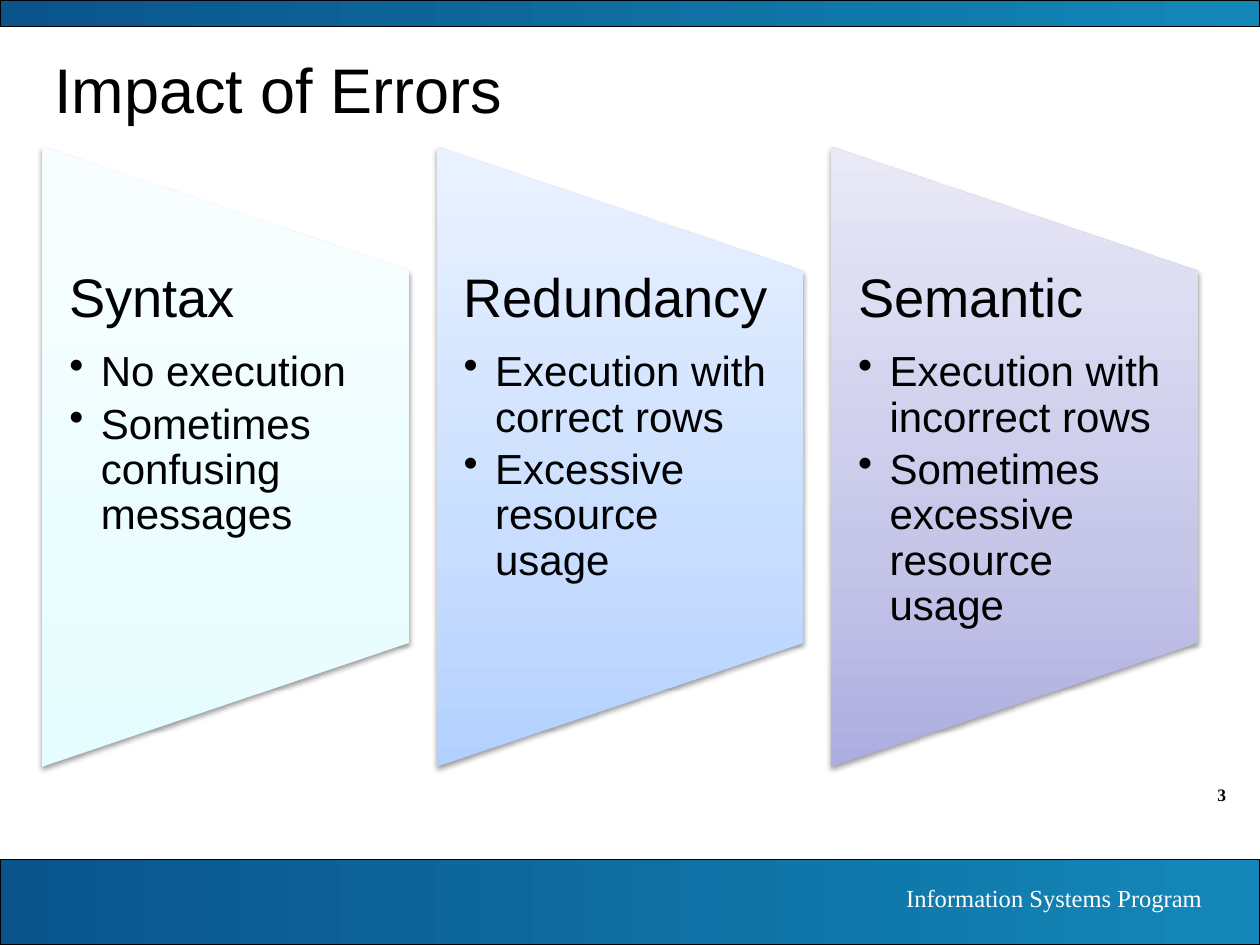
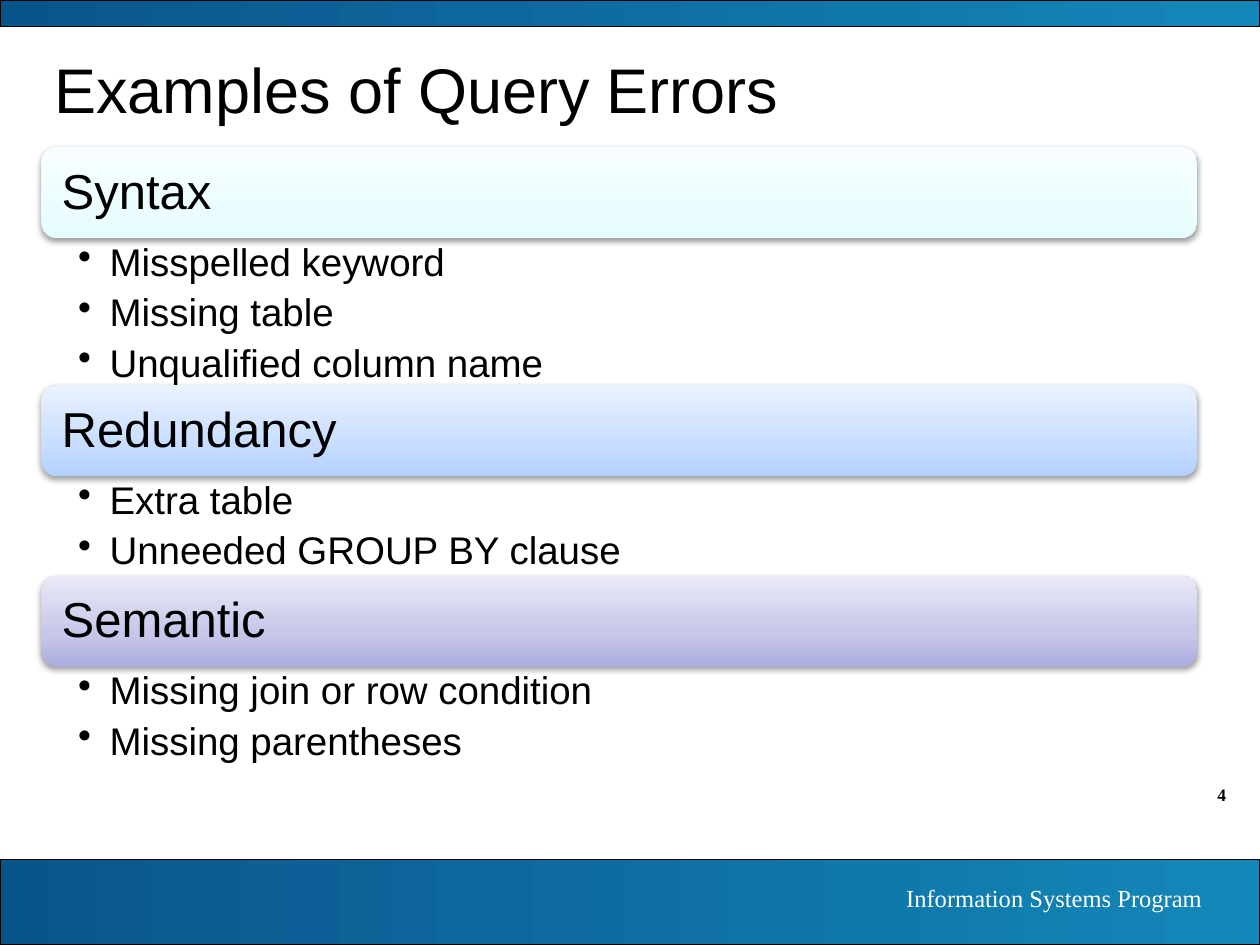
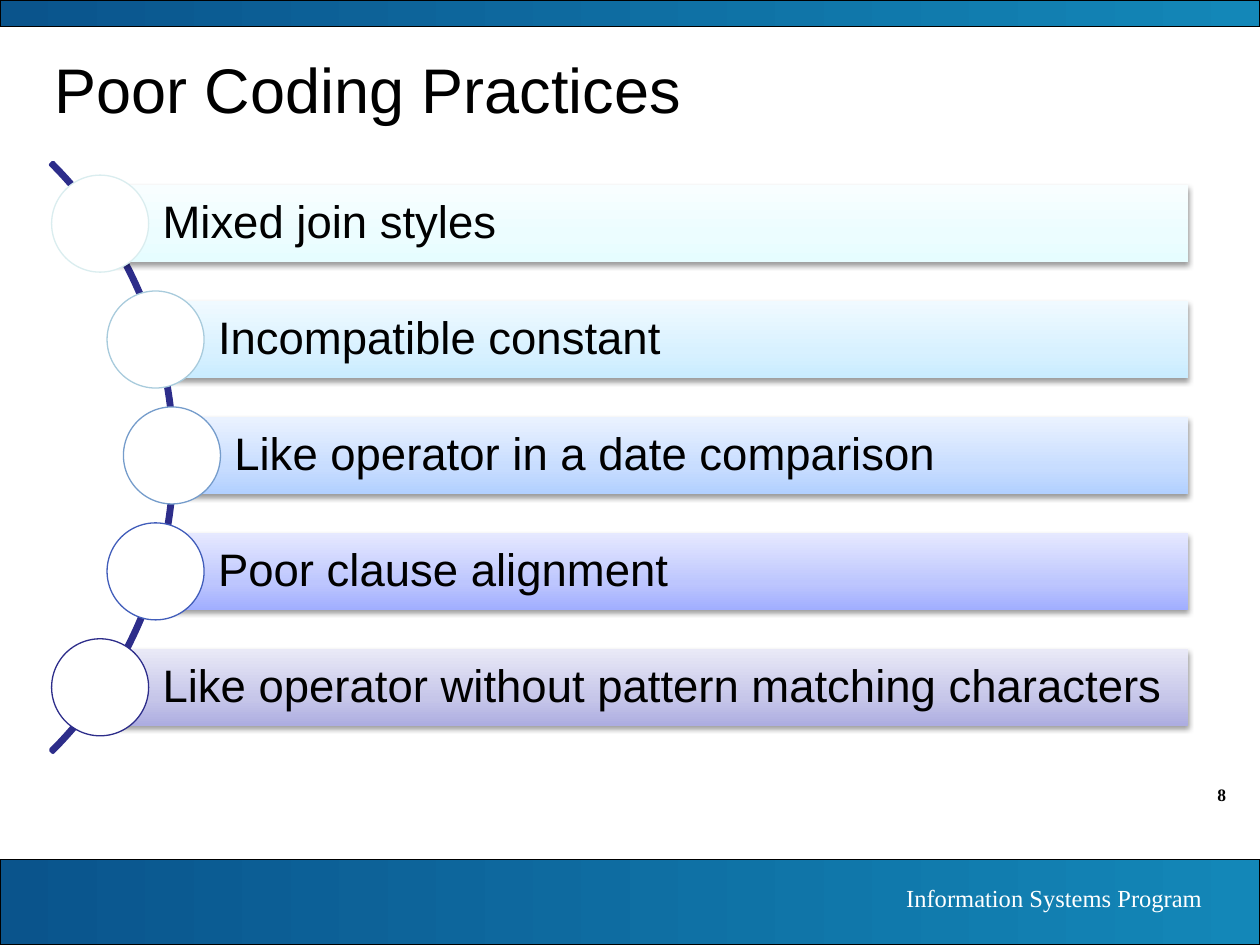
"""Build three slides on query errors and coding practices."""
from copy import deepcopy
from lxml import etree
from pptx import Presentation
from pptx import util as u
from pptx.dml.color import RGBColor
from pptx.enum import shapes, text
from pptx.oxml.ns import qn

HUES = {"ink": "000000", "white": "FFFFFF", "arc": "2D2D8A",
        "band": ["0A548C", "1387B8"],
        "mint": ["E6FDFF", "ECFDFF", "F8FEFF"],
        "sky": ["C9ECFF", "D8F1FF", "F0FAFF"],
        "blue": ["B2D0FF", "C8DDFF", "EAF2FF"],
        "iris": ["A1AEFF", "BDC6FE", "E6E9FF"],
        "plum": ["ADADE1", "C6C6E9", "E9E9F7"]}
KIND = shapes.MSO_SHAPE
LEFT, RIGHT = text.PP_ALIGN.LEFT, text.PP_ALIGN.RIGHT
TOP, MID = text.MSO_ANCHOR.TOP, text.MSO_ANCHOR.MIDDLE


def paint(slide, kind, at, hues, angle=90):
    """Add a shape with a gradient; three-colour ones also cast a shadow."""
    shape = slide.shapes.add_shape(kind, *map(u.Inches, at))
    shape.shadow.inherit = False
    shape.line.fill.background()
    shape.fill.gradient()
    shape.fill.gradient_angle = angle
    props = shape.element.spPr
    grad = props.find(qn("a:gradFill"))
    grad.set("rotWithShape", "0")
    if len(hues) == 3:
        stops = grad.find(qn("a:gsLst"))
        stops.insert(1, deepcopy(stops[0]))
        stops[1].set("pos", "35000")
        cast = etree.SubElement(props.find(qn("a:effectLst")), qn("a:outerShdw"),
                                blurRad="40000", dist="20000", dir="5400000", rotWithShape="0")
        tone = etree.SubElement(cast, qn("a:srgbClr"), val=HUES["ink"])
        etree.SubElement(tone, qn("a:alpha"), val="38000")
    for stop, hue in zip(shape.fill.gradient_stops, hues):
        stop.color.rgb = RGBColor.from_string(hue)
    return shape


def write(frame, lines, pad=(0.1, 0.05, 0.1, 0.05), anchor=TOP, align=LEFT,
          font="Arial", hue="ink", bold=False, space=None):
    """Fill a text frame from (text, size, gap after, bullet) lines."""
    frame.word_wrap = True
    frame.vertical_anchor = anchor
    frame.margin_left, frame.margin_top, frame.margin_right, frame.margin_bottom = map(u.Inches, pad)
    for i, (words, size, gap, dot) in enumerate(lines):
        para = frame.add_paragraph() if i else frame.paragraphs[0]
        para.alignment = align
        para.line_spacing = space
        para.space_after = u.Pt(gap)
        if dot:
            props = para._p.get_or_add_pPr()
            props.set("marL", str(u.Inches(0.25)))
            props.set("indent", str(u.Inches(-0.25)))
            etree.SubElement(props, qn("a:buChar"), char="•")
        run = para.add_run()
        run.text = words
        run.font.name, run.font.size, run.font.bold = font, u.Pt(size), bold
        run.font.color.rgb = RGBColor.from_string(HUES[hue])


deck = Presentation()
deck.slide_width, deck.slide_height = u.Inches(10), u.Inches(7.5)

pages = []
for name, num in [("Impact of Errors", 3), ("Examples of Query Errors", 4),
                  ("Poor Coding Practices", 8)]:
    page = deck.slides.add_slide(deck.slide_layouts[5])
    for top, high in [(6.82, 0.68), (0, 0.21)]:
        band = paint(page, KIND.RECTANGLE, (0, top, 10, high), HUES["band"], 0)
        band.line.color.rgb = RGBColor.from_string(HUES["ink"])
        band.line.width = u.Pt(0.75)
    mark = page.shapes.add_textbox(*map(u.Inches, (9, 6.17, 0.83, 0.27)))
    write(mark.text_frame, [(str(num), 10, 0, False)], align=RIGHT,
          font="Times New Roman", bold=True)
    foot = page.shapes.add_textbox(*map(u.Inches, (5.55, 6.96, 4.09, 0.34)))
    write(foot.text_frame, [("Information Systems Program", 14, 0, False)], align=RIGHT,
          font="Times New Roman", hue="white")
    title = page.shapes.title
    title.left, title.top, title.width, title.height = map(u.Inches, (0.33, 0.33, 9.17, 0.75))
    write(title.text_frame, [(name, 36, 0, False)], anchor=MID)
    pages.append(page)
impact, samples, habits = pages

cards = [("Syntax", "mint", ["No execution", "Sometimes confusing messages"]),
         ("Redundancy", "blue", ["Execution with correct rows", "Excessive resource usage"]),
         ("Semantic", "plum", ["Execution with incorrect rows",
                               "Sometimes excessive resource usage"])]
for i, (head, hue, items) in enumerate(cards):
    left = 0.33 + 3.13 * i
    card = paint(impact, KIND.FLOWCHART_MANUAL_OPERATION, (left - 1, 2.17, 4.92, 2.91), HUES[hue])
    card.rotation = 270
    box = impact.shapes.add_textbox(*map(u.Inches, (left, 2.15, 2.91, 2.95)))
    write(box.text_frame, [(head, 31, 12, False)] + [(item, 24, 4, True) for item in items],
          (0.22, 0, 0.22, 0), space=0.9)

groups = [("Syntax", "mint", ["Misspelled keyword", "Missing table", "Unqualified column name"]),
          ("Redundancy", "blue", ["Extra table", "Unneeded GROUP BY clause"]),
          ("Semantic", "plum", ["Missing join or row condition", "Missing parentheses"])]
top = 1.17
for head, hue, items in groups:
    paint(samples, KIND.ROUNDED_RECTANGLE, (0.33, top, 9.17, 0.72), HUES[hue])
    box = samples.shapes.add_textbox(*map(u.Inches, (0.37, top + 0.04, 9.1, 0.65)))
    write(box.text_frame, [(head, 28, 0, False)], (0.12,) * 4, MID, space=0.9)
    high = 0.03 + 0.38 * len(items)
    box = samples.shapes.add_textbox(*map(u.Inches, (0.33, top + 0.72, 9.17, high)))
    write(box.text_frame, [(item, 22, 5, True) for item in items],
          (0.29, 0.04, 0.22, 0.04), space=0.9)
    top += 0.72 + high

arc = habits.shapes.add_shape(KIND.BLOCK_ARC, *map(u.Inches, (-5.23, 0.32, 6.62, 6.62)))
arc.shadow.inherit = False
for i, turn in enumerate([189, 27, 0.004]):
    arc.adjustments[i] = turn
arc.fill.background()
arc.line.color.rgb = RGBColor.from_string(HUES["arc"])
arc.line.width = u.Pt(2)

rows = [("Mixed join styles", 0.8, "mint", "DAEDEF"),
        ("Incompatible constant", 1.24, "sky", "A8CBDC"),
        ("Like operator in a date comparison", 1.37, "blue", "759CCB"),
        ("Poor clause alignment", 1.24, "iris", "415DBA"),
        ("Like operator without pattern matching characters", 0.8, "plum", "2D2D8A")]
for i, (words, left, hue, edge) in enumerate(rows):
    top = 1.47 + 0.92 * i
    at = (left, top, 9.43 - left, 0.61)
    bar = paint(habits, KIND.RECTANGLE, at, HUES[hue])
    write(bar.text_frame, [(words, 26, 0, False)], (0.49, 0.07, 0.07, 0.07), MID, space=0.9)
    dot = habits.shapes.add_shape(KIND.OVAL, *map(u.Inches, (left - 0.39, top - 0.08, 0.77, 0.77)))
    dot.shadow.inherit = False
    dot.fill.solid()
    dot.fill.fore_color.rgb = RGBColor.from_string(HUES["white"])
    dot.line.color.rgb = RGBColor.from_string(edge)
    dot.line.width = u.Pt(0.75)

deck.save("out.pptx")
